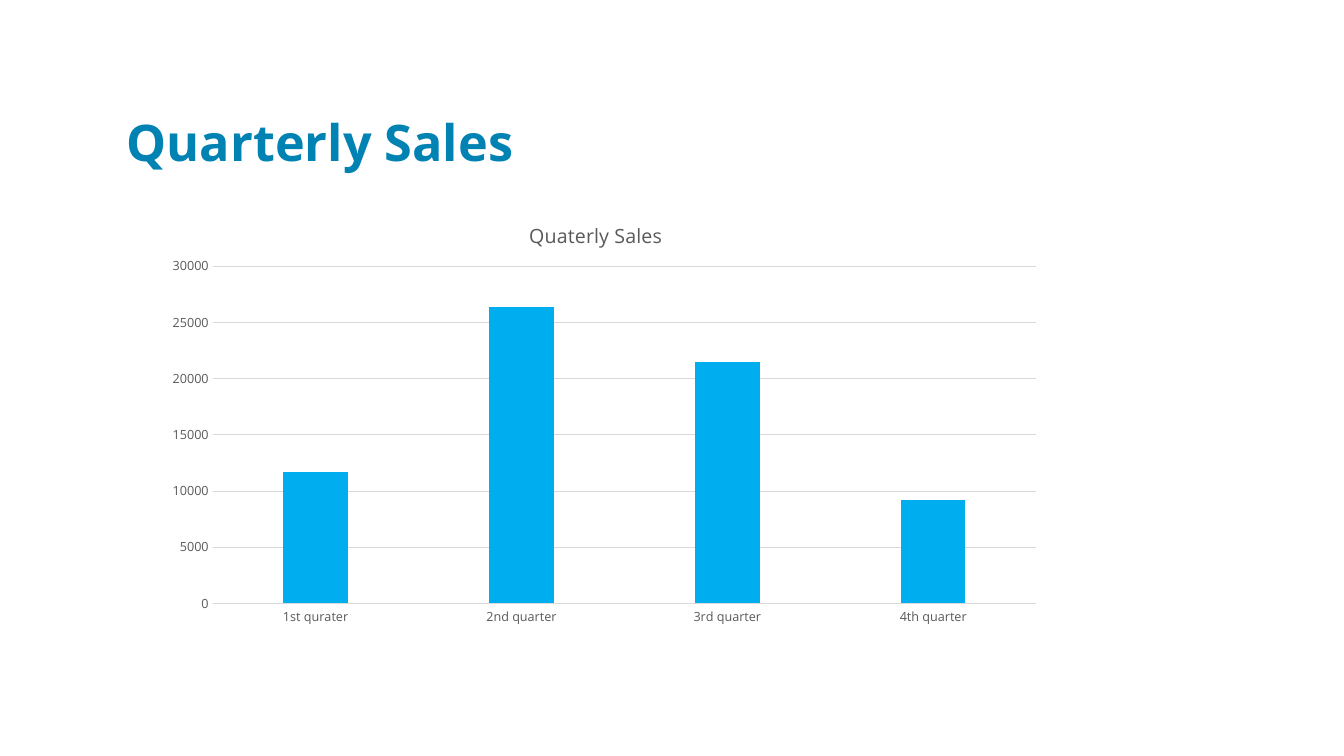
"""Build a slide with a heading and a quarterly sales column chart."""
import pptx
import pptx.chart.data
import pptx.dml.color
import pptx.enum.chart
import pptx.enum.text
import pptx.oxml
import pptx.oxml.ns
import pptx.util

Pt = pptx.util.Pt
RGBColor = pptx.dml.color.RGBColor
FONT = "Open Sans"
WHITE = RGBColor(0xFF, 0xFF, 0xFF)
HEADING = RGBColor(0x00, 0x83, 0xB3)
BAR = RGBColor(0x00, 0xAE, 0xEF)
LABEL = RGBColor(0x59, 0x59, 0x59)
GRID = RGBColor(0xD9, 0xD9, 0xD9)
SALES = {"1st qurater": 11700, "2nd quarter": 26400,
         "3rd quarter": 21500, "4th quarter": 9200}


def set_font(font, size, color, bold=False):
    font.name, font.size, font.bold = FONT, Pt(size), bold
    font.color.rgb = color


def set_line(line):
    line.color.rgb = GRID
    line.width = Pt(0.75)


def set_plot_box(chart, x, y, w, h):
    area = chart._chartSpace.chart.plotArea
    for old in area.findall(pptx.oxml.ns.qn("c:layout")):
        area.remove(old)
    parts = "".join(f'<c:{tag} val="{val}"/>' for tag, val in (
        ("layoutTarget", "inner"), ("xMode", "edge"), ("yMode", "edge"),
        ("x", x), ("y", y), ("w", w), ("h", h)))
    area.insert(0, pptx.oxml.parse_xml(
        f'<c:layout {pptx.oxml.ns.nsdecls("c")}>'
        f'<c:manualLayout>{parts}</c:manualLayout></c:layout>'))


def add_heading(s, left, top, width, height):
    tf = s.shapes.add_textbox(Pt(left), Pt(top), Pt(width), Pt(height)).text_frame
    tf.word_wrap = True
    tf.vertical_anchor = pptx.enum.text.MSO_ANCHOR.BOTTOM
    tf.text = "Quarterly Sales"
    p = tf.paragraphs[0]
    p.line_spacing = 0.8
    set_font(p.runs[0].font, 36, HEADING, True)


def add_sales_chart(s, left, top, width, height):
    data = pptx.chart.data.CategoryChartData()
    data.categories = list(SALES)
    data.add_series("Series 1", list(SALES.values()))
    chart = s.shapes.add_chart(
        pptx.enum.chart.XL_CHART_TYPE.COLUMN_CLUSTERED,
        Pt(left), Pt(top), Pt(width), Pt(height), data).chart
    set_font(chart.font, 10, LABEL)
    chart.has_legend = False
    chart.has_title = True
    tf = chart.chart_title.text_frame
    tf.text = "Quaterly Sales"
    set_font(tf.paragraphs[0].runs[0].font, 14, LABEL)
    chart.chart_title.include_in_layout = False

    plot = chart.plots[0]
    plot.gap_width, plot.overlap, plot.vary_by_categories = 219, -27, False
    fill = plot.series[0].format.fill
    fill.solid()
    fill.fore_color.rgb = BAR

    for axis in (chart.category_axis, chart.value_axis):
        axis.major_tick_mark = pptx.enum.chart.XL_TICK_MARK.NONE
        axis.minor_tick_mark = pptx.enum.chart.XL_TICK_MARK.NONE
        set_font(axis.tick_labels.font, 9, LABEL)
    set_line(chart.category_axis.format.line)
    axis = chart.value_axis
    axis.minimum_scale, axis.maximum_scale, axis.major_unit = 0, 30000, 5000
    axis.format.line.fill.background()
    axis.has_major_gridlines = True
    set_line(axis.major_gridlines.format.line)
    set_plot_box(chart, 0.1, 0.14, 0.86, 0.73)


def build_slide(prs):
    s = prs.slides.add_slide(prs.slide_layouts[6])
    s.background.fill.solid()
    s.background.fill.fore_color.rgb = WHITE
    left, width = 83.5, 684
    add_heading(s, left, 42, width, 84)
    add_sales_chart(s, left, 144, width, 330)


prs = pptx.Presentation()
prs.slide_width, prs.slide_height = Pt(960), Pt(540)
build_slide(prs)
prs.save("out.pptx")
